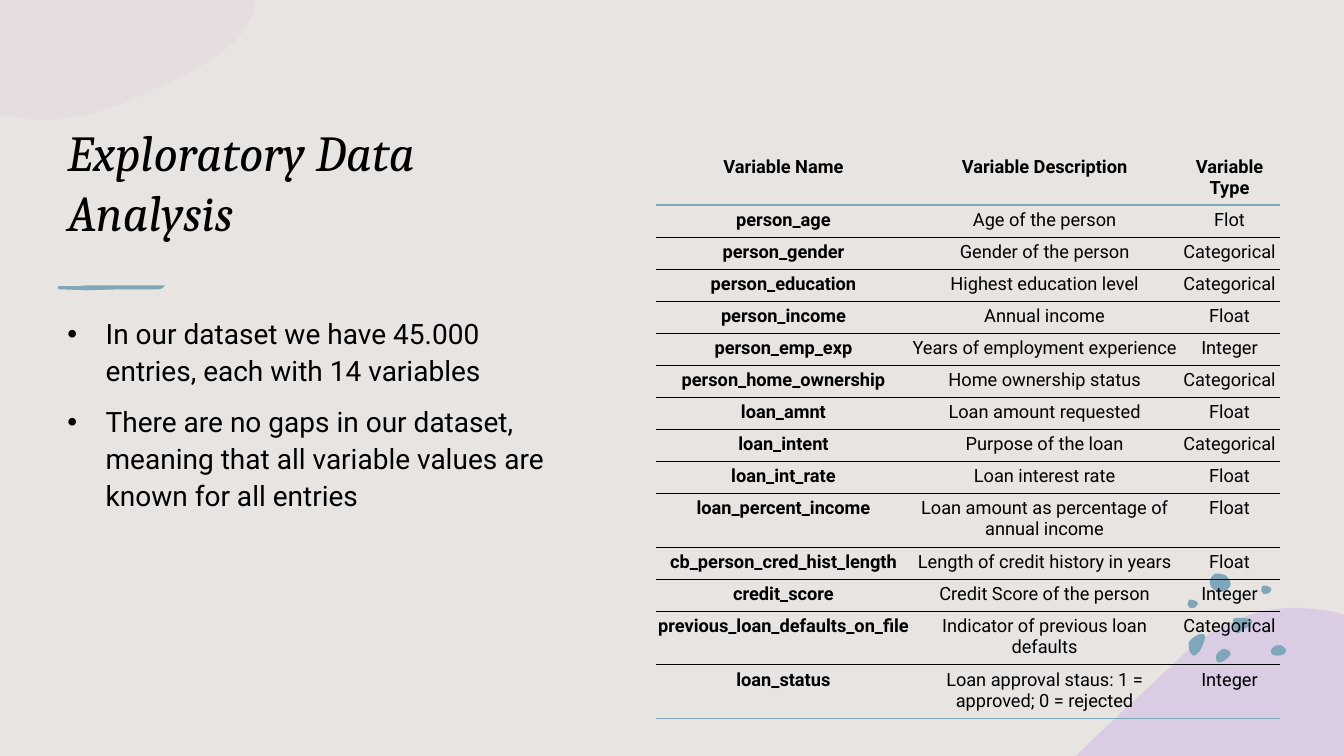
import pptx
import pptx.dml.color
import pptx.enum.text
import pptx.oxml.ns
import pptx.util
from lxml import etree

Inches = pptx.util.Inches
Pt = pptx.util.Pt
INK, PAPER, TEAL = "000000", "E8E4E2", "7EA8B9"
CENTER = pptx.enum.text.PP_ALIGN.CENTER

PINK_BLOB = [(0, 0), (2.53, 0), (2.53, 0.06), (2.45, 0.44, 2, 0.67, 1.58, 0.86),
             (1.23, 1.03, 0.86, 1.19, 0.41, 1.19), (0.31, 1.19, 0.22, 1.18, 0.13, 1.16), (0, 1.14)]
LILAC_BLOB = [(2.21, 0), (2.34, 0.01, 2.47, 0.02, 2.6, 0.05), (2.66, 0.07), (2.66, 1.47), (0, 1.47),
              (0.01, 1.46), (0.35, 1.13, 0.7, 0.81, 1.02, 0.51), (1.24, 0.29, 1.47, 0.16, 1.7, 0.08),
              (1.87, 0.02, 2.04, 0, 2.21, 0)]
BRUSH_STROKE = [(0, 0.01), (0.17, 0.01), (0.3, 0), (1.06, 0), (1.04, 0.01, 1.04, 0.04, 0.99, 0.04),
                (0.63, 0.04), (0.27, 0.05), (0.02, 0.04), (-0.01, 0.04, -0.01, 0.02, 0, 0.01)]
SMALL_PEBBLE = [(0, 0.05), (0, 0.05, 0, 0.01, 0.02, 0), (0.04, 0, 0.05, 0, 0.07, 0.01),
                (0.08, 0.01, 0.1, 0.02, 0.1, 0.04), (0.1, 0.05, 0.09, 0.06, 0.08, 0.07),
                (0.08, 0.07, 0.08, 0.08, 0.06, 0.08), (0.05, 0.08, 0.03, 0.09, 0.02, 0.08),
                (0.01, 0.06, 0, 0.06, 0, 0.05)]
PEBBLES = [
    (0.28, 0.75, [(0.07, 0), (0.09, 0, 0.1, 0, 0.12, 0.01), (0.14, 0.02, 0.15, 0.04, 0.14, 0.06),
                  (0.12, 0.09, 0.06, 0.14, 0.02, 0.13), (0.01, 0.12, 0, 0.1, 0, 0.08),
                  (0, 0.06, 0.02, 0.03, 0.04, 0.02), (0.05, 0.01, 0.06, 0, 0.07, 0)]),
    (0.01, 0.6, [(0.12, 0), (0.14, 0, 0.16, 0, 0.16, 0.02), (0.16, 0.04),
                 (0.15, 0.09, 0.13, 0.14, 0.1, 0.18), (0.08, 0.2, 0.05, 0.23, 0.03, 0.2),
                 (0, 0.17, 0, 0.12, 0, 0.09), (0.01, 0.06, 0.03, 0.05, 0.05, 0.03),
                 (0.06, 0.03, 0.09, 0, 0.12, 0)]),
    (0.83, 0.71, [(0.08, 0), (0.1, 0, 0.13, 0.02, 0.14, 0.04), (0.15, 0.06, 0.14, 0.08, 0.12, 0.09),
                  (0.09, 0.11, 0.01, 0.11, 0, 0.08), (-0.01, 0.06, 0, 0.04, 0.01, 0.03),
                  (0.03, 0.01, 0.05, 0, 0.08, 0)]),
    (0.22, 0, [(0.01, 0.12), (0, 0.12, -0.01, 0.06, 0.02, 0.03), (0.04, 0.01, 0.04, 0, 0.07, 0),
               (0.1, 0, 0.14, 0.01, 0.16, 0.02), (0.18, 0.04, 0.22, 0.09, 0.2, 0.13),
               (0.17, 0.16, 0.16, 0.18, 0.12, 0.18), (0.09, 0.18, 0.04, 0.17, 0.03, 0.15),
               (0.01, 0.13, 0.01, 0.13, 0.01, 0.12)]),
    (0.73, 0.12, SMALL_PEBBLE),
    (0, 0.26, SMALL_PEBBLE),
    (0.45, 0.44, [(0.05, 0), (0.11, 0, 0.22, 0, 0.18, 0.06), (0.18, 0.07, 0.17, 0.08, 0.16, 0.08),
                  (0.13, 0.1, 0.1, 0.12, 0.07, 0.14), (0.06, 0.15, 0.05, 0.16, 0.03, 0.14),
                  (0.01, 0.1, 0, 0.07, 0, 0.03), (0, 0.02, 0, 0, 0.05, 0)]),
]
BULLETS = ["In our dataset we have 45.000 entries, each with 14 variables",
           "There are no gaps in our dataset, meaning that all variable values are known for all entries"]
VARIABLES = [
    ("Variable Name", "Variable Description", "Variable Type"),
    ("person_age", "Age of the person", "Flot"),
    ("person_gender", "Gender of the person", "Categorical"),
    ("person_education", "Highest education level", "Categorical"),
    ("person_income", "Annual income", "Float"),
    ("person_emp_exp", "Years of employment experience", "Integer"),
    ("person_home_ownership", "Home ownership status", "Categorical"),
    ("loan_amnt", "Loan amount requested", "Float"),
    ("loan_intent", "Purpose of the loan", "Categorical"),
    ("loan_int_rate", "Loan interest rate", "Float"),
    ("loan_percent_income", "Loan amount as percentage of annual income", "Float"),
    ("cb_person_cred_hist_length", "Length of credit history in years", "Float"),
    ("credit_score", "Credit Score of the person", "Integer"),
    ("previous_loan_defaults_on_file", "Indicator of previous loan defaults", "Categorical"),
    ("loan_status", "Loan approval staus: 1 = approved; 0 = rejected", "Integer"),
]
TWO_LINE_ROWS = (0, 10, 13, 14)


def color(code):
    """Return the colour for a hex string."""
    return pptx.dml.color.RGBColor.from_string(code)


def add_xml(parent, tag, **attributes):
    """Append a drawing element to its parent and return it."""
    return etree.SubElement(parent, pptx.oxml.ns.qn(tag), attributes)


def trace(outline, steps=8):
    """Turn line ends and cubic curves into a list of points."""
    points = [outline[0]]
    for part in outline[1:]:
        if len(part) == 2:
            points.append(part)
            continue
        start, knots = points[-1], (part[:2], part[2:4], part[4:])
        for step in range(1, steps + 1):
            t = step / steps
            weights = ((1 - t) ** 3, 3 * t * (1 - t) ** 2, 3 * t * t * (1 - t), t ** 3)
            points.append(tuple(sum(weight * knot[axis] for weight, knot in zip(weights, (start, *knots)))
                                for axis in (0, 1)))
    return points


def add_outline(shapes, left, top, outline, fill, opacity=100):
    """Draw a filled outline whose points are relative to left and top."""
    points = [(Inches(left + x), Inches(top + y)) for x, y in trace(outline)]
    builder = shapes.build_freeform(*points[0], scale=1.0)
    builder.add_line_segments(points[1:], close=True)
    shape = builder.convert_to_shape()
    shape.shadow.inherit = False
    shape.line.fill.background()
    shape.fill.solid()
    shape.fill.fore_color.rgb = color(fill)
    if opacity < 100:
        for tint in shape._element.spPr.iter(pptx.oxml.ns.qn("a:srgbClr")):
            add_xml(tint, "a:alpha", val=str(opacity * 1000))


def add_pebbles(page, left, top):
    """Scatter the group of pebbles from left and top."""
    shapes = page.shapes.add_group_shape().shapes
    for x, y, outline in PEBBLES:
        add_outline(shapes, left + x, top + y, outline, TEAL)


def style(para, size, font, bold=False, italic=False):
    """Format the runs of a paragraph."""
    for span in para.runs:
        span.font.size, span.font.name = Pt(size), font
        span.font.bold, span.font.italic = bold, italic
        span.font.color.rgb = color(INK)


def add_text_box(page, left, top, width, height):
    """Add a wrapping text box and return its text frame."""
    box = page.shapes.add_textbox(Inches(left), Inches(top), Inches(width), Inches(height))
    box.text_frame.word_wrap = True
    return box.text_frame


def add_title(page, left, top, width, height):
    """Write the slide title at the bottom of its box."""
    frame = add_text_box(page, left, top, width, height)
    frame.vertical_anchor = pptx.enum.text.MSO_ANCHOR.BOTTOM
    frame.text = "Exploratory Data Analysis"
    style(frame.paragraphs[0], 36, "Cambria", italic=True)


def add_bullets(page, left, top, width, height):
    """Write the bulleted findings in their box."""
    frame = add_text_box(page, left, top, width, height)
    frame.text = "\n".join(BULLETS)
    for para in frame.paragraphs:
        para.line_spacing, para.space_before = 1.1, Pt(10)
        style(para, 20, "Roboto")
        properties = para._p.get_or_add_pPr()
        properties.set("marL", str(Inches(0.38)))
        properties.set("indent", str(Inches(-0.38)))
        add_xml(add_xml(properties, "a:buClr"), "a:srgbClr", val=INK)
        add_xml(properties, "a:buFont", typeface="Arial")
        add_xml(properties, "a:buChar", char="•")


def add_border(cell, tag, code, points):
    """Give one side of a cell a solid border."""
    properties = cell._tc.get_or_add_tcPr()
    line = add_xml(properties, tag, w=str(Pt(points)))
    add_xml(add_xml(line, "a:solidFill"), "a:srgbClr", val=code)


def add_variable_table(page, left, top, widths):
    """Build the table of variables with ruled rows."""
    heights = [0.52 if row in TWO_LINE_ROWS else 0.31 for row in range(len(VARIABLES))]
    table = page.shapes.add_table(len(VARIABLES), len(widths), Inches(left), Inches(top),
                                  Inches(sum(widths)), Inches(sum(heights))).table
    table.first_row = table.horz_banding = False
    for style_id in table._tbl.iter(pptx.oxml.ns.qn("a:tableStyleId")):
        style_id.text = "{2D5ABB26-0587-4C30-8999-92F81FD0307C}"
    for column, width in zip(table.columns, widths):
        column.width = Inches(width)
    rules = [(TEAL, 1.47)] + [(INK, 0.23)] * (len(VARIABLES) - 2) + [(TEAL, 0.96)]
    for row, texts in enumerate(VARIABLES):
        table.rows[row].height = Inches(heights[row])
        for column, text in enumerate(texts):
            cell = table.cell(row, column)
            cell.margin_left = cell.margin_right = 0
            cell.margin_top = cell.margin_bottom = Inches(0.05)
            cell.text = text
            para = cell.text_frame.paragraphs[0]
            para.alignment = CENTER
            style(para, 13, "Roboto", bold=row == 0 or column == 0)
            if row:
                add_border(cell, "a:lnT", *rules[row - 1])
            add_border(cell, "a:lnB", *rules[row])
            cell.fill.background()


def add_analysis_slide(deck):
    """Lay out the exploratory data analysis slide."""
    page = deck.slides.add_slide(deck.slide_layouts[6])
    page.background.fill.solid()
    page.background.fill.fore_color.rgb = color(PAPER)
    add_title(page, 0.57, 0.86, 5.1, 1.59)
    add_outline(page.shapes, 0, 0, PINK_BLOB, "E3CCDB", opacity=25)
    add_outline(page.shapes, 0.58, 2.83, BRUSH_STROKE, TEAL)
    add_bullets(page, 0.57, 3.06, 5.1, 3.58)
    add_outline(page.shapes, 10.67, 6.03, LILAC_BLOB, "D9CCE3")
    add_pebbles(page, 11.78, 5.69)
    add_variable_table(page, 6.51, 1.5, (2.52, 2.66, 1.01))


def main():
    """Create the deck and save it."""
    deck = pptx.Presentation()
    deck.slide_width, deck.slide_height = Inches(13.33), Inches(7.5)
    add_analysis_slide(deck)
    deck.save("out.pptx")


if __name__ == "__main__":
    main()
